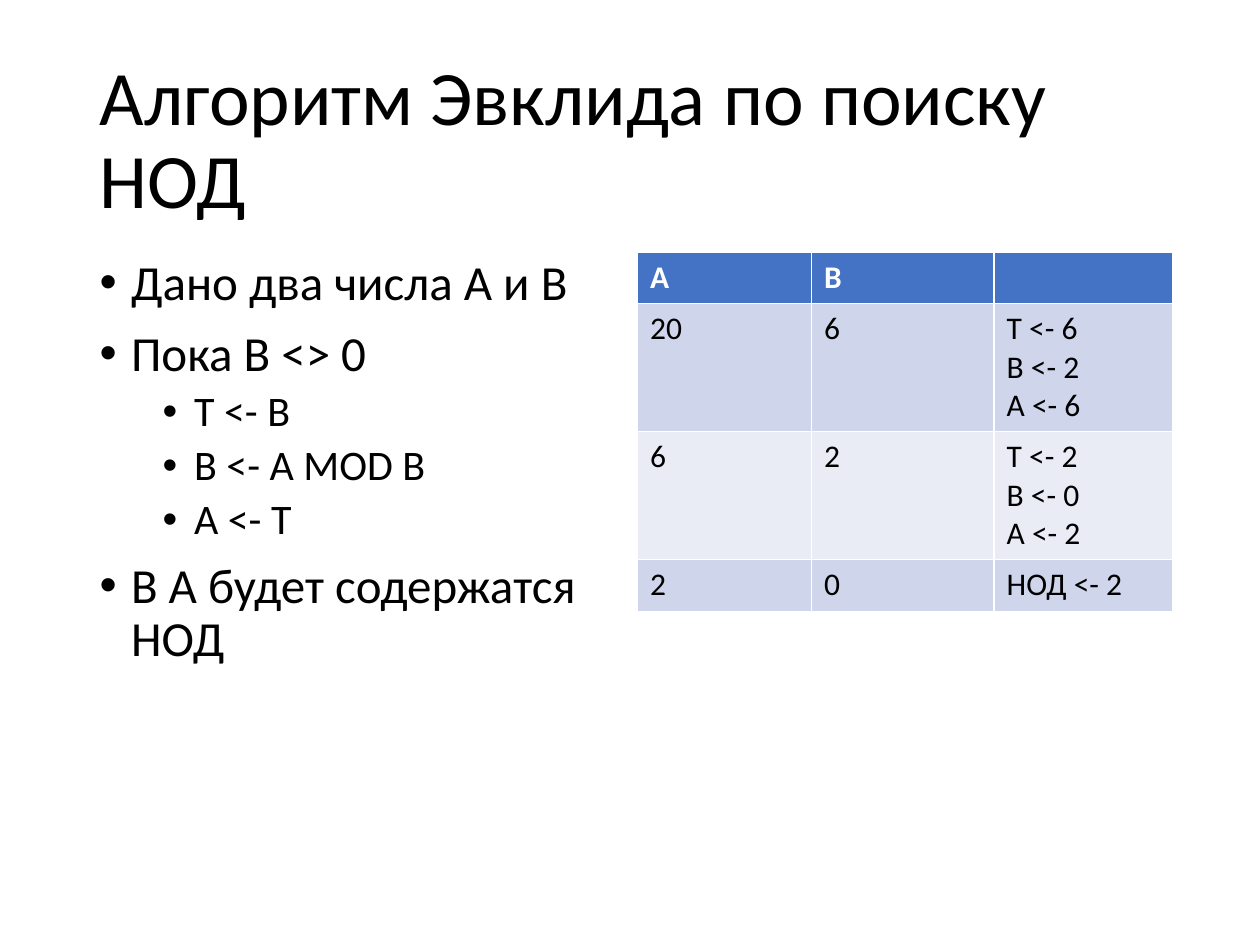
from pptx import Presentation
from pptx.dml.color import RGBColor
from pptx.enum.text import MSO_ANCHOR, MSO_AUTO_SIZE, PP_ALIGN
from pptx.oxml.ns import qn
from pptx.util import Inches, Pt
from lxml.etree import SubElement

COLORS = {
    "text": "000000",
    "header_text": "FFFFFF",
    "header": "4472C4",
    "odd_row": "CFD5EA",
    "even_row": "E9EBF5",
}
FONT = "Calibri"

TITLE = "Алгоритм Эвклида по поиску НОД"
STEPS = [
    (0, "Дано два числа A и B"),
    (0, "Пока B <> 0"),
    (1, "T <- B"),
    (1, "B <- A MOD B"),
    (1, "A <- T"),
    (0, "В A будет содержатся НОД"),
]
LEVELS = [
    {"size": 28, "before": 10, "indent": 0.25},
    {"size": 24, "before": 5, "indent": 0.75},
]
TRACE = [
    (["A"], ["B"], []),
    (["20"], ["6"], ["T <- 6", "B <- 2", "A <- 6"]),
    (["6"], ["2"], ["T <- 2", "B <- 0", "A <- 2"]),
    (["2"], ["0"], ["НОД <- 2"]),
]
COLUMN_WIDTHS = [1.38, 1.45, 1.42]
ROW_HEIGHT = 0.41


def place(shape, left, top, width, height):
    shape.left, shape.top = Inches(left), Inches(top)
    shape.width, shape.height = Inches(width), Inches(height)


def add_text(frame, text, index=0, size=18, color="text", bold=False,
             level=0, spacing=None, before=0, indent=None):
    paragraph = frame.add_paragraph() if index else frame.paragraphs[0]
    paragraph.alignment = PP_ALIGN.LEFT
    paragraph.level = level
    paragraph.space_before = Pt(before)
    if spacing:
        paragraph.line_spacing = spacing
    if indent is not None:
        properties = paragraph._p.get_or_add_pPr()
        properties.set("marL", str(Inches(indent)))
        properties.set("indent", str(Inches(-0.25)))
        SubElement(properties, qn("a:buFont"), typeface="Arial")
        SubElement(properties, qn("a:buChar"), char="•")
    run = paragraph.add_run()
    run.text = text
    run.font.name = FONT
    run.font.size = Pt(size)
    run.font.bold = bold
    run.font.color.rgb = RGBColor.from_string(COLORS[color])


def add_trace_table(slide):
    table = slide.shapes.add_table(
        len(TRACE), len(COLUMN_WIDTHS), Inches(5.06), Inches(2),
        Inches(sum(COLUMN_WIDTHS)), Inches(ROW_HEIGHT * len(TRACE))).table
    for column, width in zip(table.columns, COLUMN_WIDTHS):
        column.width = Inches(width)
    for row_index, values in enumerate(TRACE):
        header = row_index == 0
        fill = "header" if header else "odd_row" if row_index % 2 else "even_row"
        table.rows[row_index].height = Inches(ROW_HEIGHT)
        for column_index, lines in enumerate(values):
            cell = table.cell(row_index, column_index)
            cell.fill.solid()
            cell.fill.fore_color.rgb = RGBColor.from_string(COLORS[fill])
            for index, line in enumerate(lines):
                add_text(cell.text_frame, line, index, bold=header,
                         color="header_text" if header else "text")


def main():
    presentation = Presentation()
    presentation.slide_width = Inches(10)
    presentation.slide_height = Inches(7.5)
    slide = presentation.slides.add_slide(presentation.slide_layouts[1])

    title, body = slide.placeholders
    place(title, 0.69, 0.4, 8.62, 1.45)
    place(body, 0.69, 2, 4.25, 4.76)
    for shape, anchor in ((title, MSO_ANCHOR.MIDDLE), (body, MSO_ANCHOR.TOP)):
        shape.text_frame.auto_size = MSO_AUTO_SIZE.NONE
        shape.text_frame.word_wrap = True
        shape.text_frame.vertical_anchor = anchor

    add_text(title.text_frame, TITLE, size=44, spacing=0.9)
    for index, (level, step) in enumerate(STEPS):
        add_text(body.text_frame, step, index, level=level, spacing=0.9,
                 **LEVELS[level])
    add_trace_table(slide)
    presentation.save("out.pptx")


if __name__ == "__main__":
    main()
